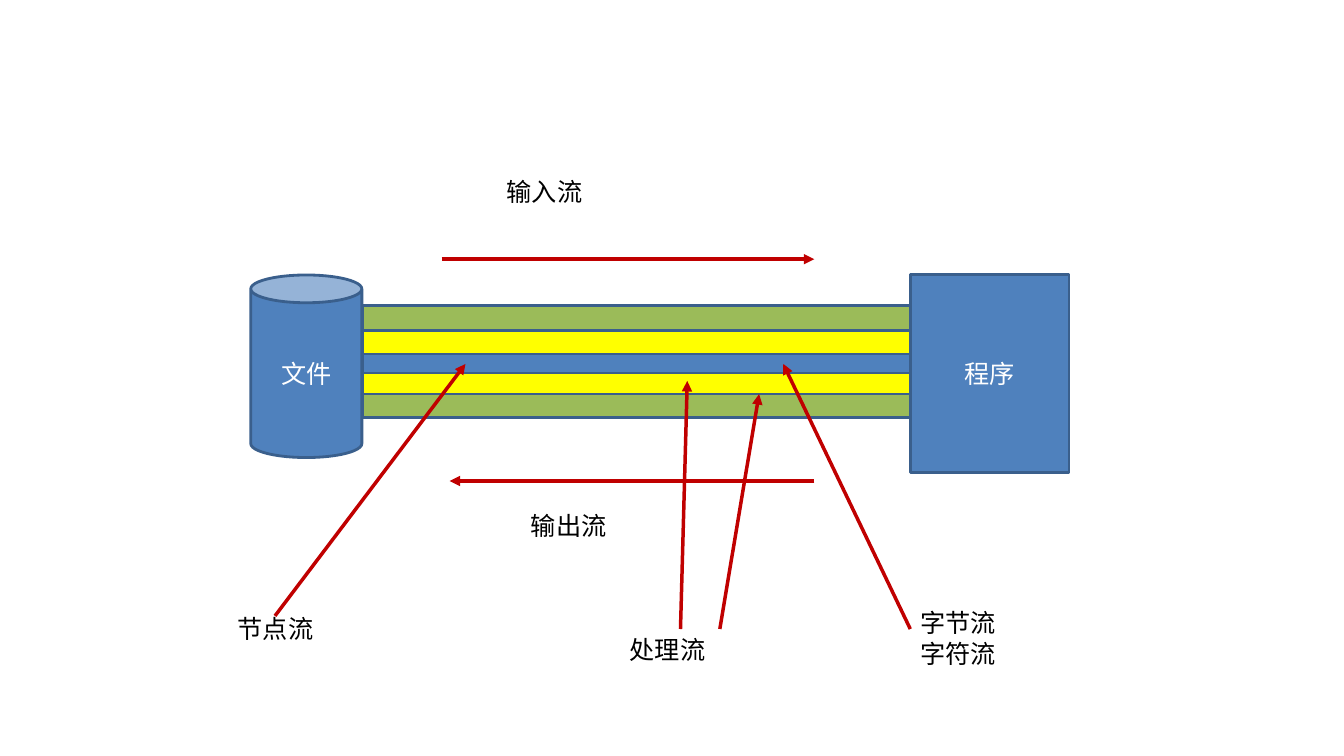
from lxml.etree import SubElement
from pptx import Presentation
from pptx.dml.color import RGBColor
from pptx.enum.shapes import MSO_CONNECTOR, MSO_SHAPE
from pptx.enum.text import MSO_ANCHOR, MSO_AUTO_SIZE, PP_ALIGN
from pptx.oxml.ns import qn
from pptx.util import Cm, Pt

COLORS = {
    "blue": "4F81BD", "green": "9BBB59", "yellow": "FFFF00",
    "outline": "3A5F8C", "arrow": "C00000", "white": "FFFFFF", "black": "000000",
}
FONT = {"name": "Calibri", "size": Pt(18)}
PIPE_LEFT, PIPE_RIGHT = 9.14, 22.94


def rgb(name):
    """Return the named colour."""
    return RGBColor.from_string(COLORS[name])


def set_line(sp, color, width):
    """Give a shape or connector a solid line."""
    sp.line.color.rgb = rgb(color)
    sp.line.width = Pt(width)


def write(tf, lines, color, align=PP_ALIGN.LEFT):
    """Write one paragraph per line of text."""
    for i, line in enumerate(lines):
        p = tf.paragraphs[0] if i == 0 else tf.add_paragraph()
        p.alignment = align
        r = p.add_run()
        r.text = line
        for key, value in FONT.items():
            setattr(r.font, key, value)
        r.font.color.rgb = rgb(color)


def add_block(s, kind, box, fill, text=None):
    """Add an outlined shape, with a centred caption if given."""
    sp = s.shapes.add_shape(kind, *map(Cm, box))
    sp.shadow.inherit = False
    sp.fill.solid()
    sp.fill.fore_color.rgb = rgb(fill)
    set_line(sp, "outline", 2)
    if text:
        sp.text_frame.vertical_anchor = MSO_ANCHOR.MIDDLE
        write(sp.text_frame, [text], "white", PP_ALIGN.CENTER)


def add_pipe(s, top, height, fill):
    """Add one layer of the pipe between file and program."""
    add_block(s, MSO_SHAPE.RECTANGLE,
              (PIPE_LEFT, top, PIPE_RIGHT - PIPE_LEFT, height), fill)


def add_label(s, left, top, width, *lines):
    """Add a text box sized to its lines."""
    height = 0.24 + 0.78 * len(lines)
    tf = s.shapes.add_textbox(Cm(left), Cm(top), Cm(width), Cm(height)).text_frame
    tf.word_wrap = True
    tf.auto_size = MSO_AUTO_SIZE.SHAPE_TO_FIT_TEXT
    write(tf, lines, "black")


def add_arrow(s, *ends):
    """Add a straight arrow from x1, y1 to x2, y2."""
    cx = s.shapes.add_connector(MSO_CONNECTOR.STRAIGHT, *map(Cm, ends))
    set_line(cx, "arrow", 2.5)
    SubElement(cx.line._get_or_add_ln(), qn("a:tailEnd"), type="triangle")
    SubElement(cx._element.spPr, qn("a:effectLst"))


def main():
    """Build the stream diagram."""
    prs = Presentation()
    prs.slide_width, prs.slide_height = Cm(33.87), Cm(19.05)
    s = prs.slides.add_slide(prs.slide_layouts[6])

    for pipe in ((7.7, 2.82, "green"), (8.33, 1.6, "yellow"), (8.92, 0.48, "blue")):
        add_pipe(s, *pipe)
    add_block(s, MSO_SHAPE.CAN, (6.32, 6.93, 2.8, 4.6), "blue", "文件")
    add_block(s, MSO_SHAPE.RECTANGLE, (PIPE_RIGHT, 6.91, 4, 5), "blue", "程序")

    for label in (
        (12.52, 4.32, 4.6, "输入流"),
        (13.13, 12.73, 6, "输出流"),
        (5.74, 15.32, 4.8, "节点流"),
        (PIPE_RIGHT, 15.19, 6.7, "字节流", "字符流"),
        (15.62, 15.85, 5.9, "处理流"),
    ):
        add_label(s, *label)

    for ends in (
        (11.13, 6.53, 20.52, 6.53),
        (20.52, 12.12, 11.33, 12.12),
        (6.93, 15.52, 11.73, 9.17),
        (PIPE_RIGHT, 15.85, 19.74, 9.17),
        (17.15, 15.85, 17.32, 9.6),
        (18.14, 15.85, 19.13, 9.93),
    ):
        add_arrow(s, *ends)

    prs.save("out.pptx")


main()
